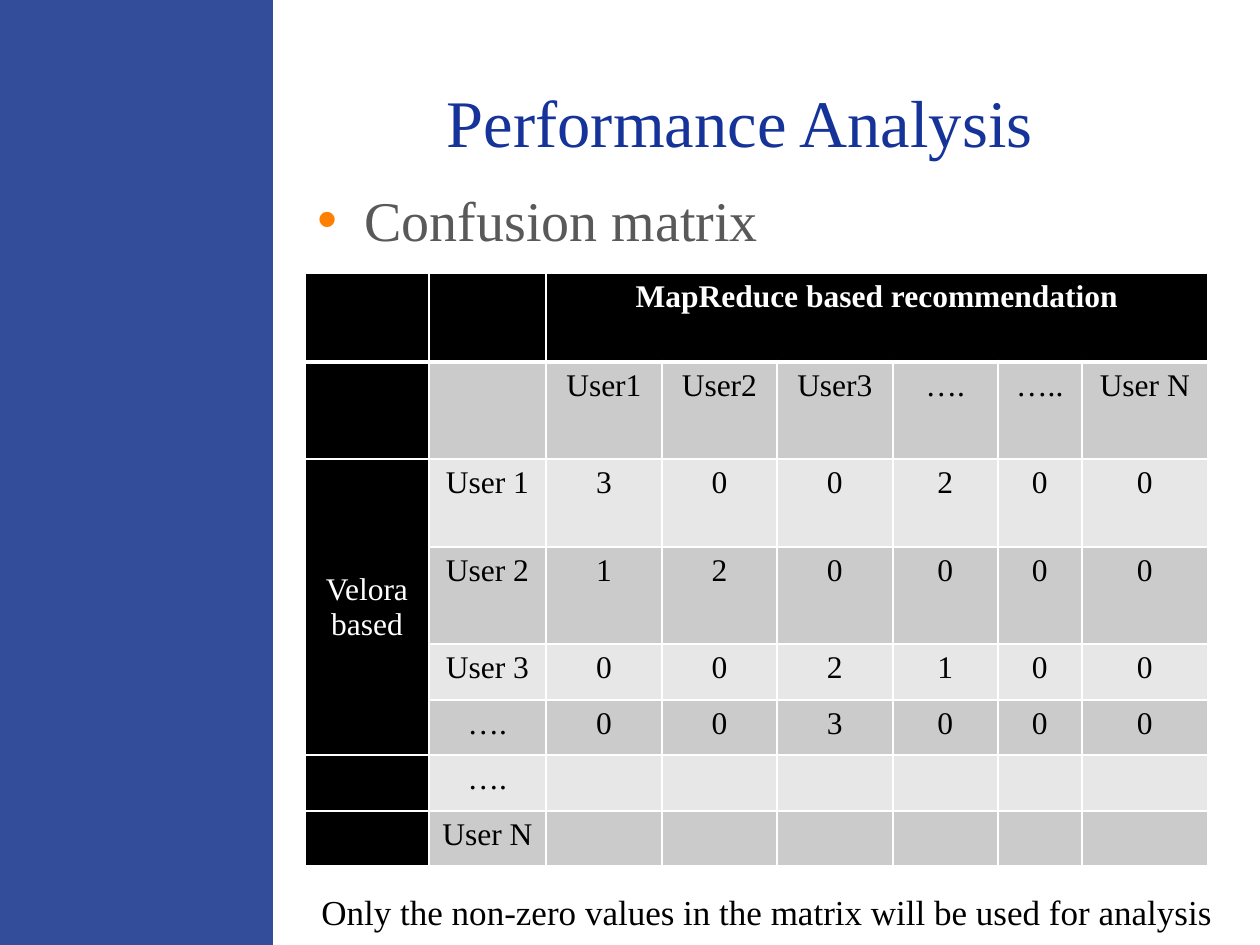
from lxml.etree import SubElement
from pptx import Presentation
from pptx.dml.color import RGBColor
from pptx.enum.shapes import MSO_SHAPE as Shape
from pptx.enum.text import MSO_ANCHOR as Anchor, PP_ALIGN as Align
from pptx.oxml.ns import qn
from pptx.util import Pt

SCALE = 914400 // 126
FONT = "Times New Roman"
BLUE = RGBColor(0x33, 0x4D, 0x9A)
TITLE_BLUE = RGBColor(0x15, 0x33, 0x99)
GRAY = RGBColor(0x59, 0x59, 0x59)
ORANGE = RGBColor(0xFF, 0x80, 0x00)
BLACK = RGBColor(0, 0, 0)
WHITE = RGBColor(0xFF, 0xFF, 0xFF)
DARK_BAND = RGBColor(0xCB, 0xCB, 0xCB)
LIGHT_BAND = RGBColor(0xE7, 0xE7, 0xE7)

COLUMN_WIDTHS = [124, 117, 116, 115, 116, 105, 84, 126]
ROW_HEIGHTS = [89, 97, 88, 97, 56, 55, 56, 55]
MATRIX = [
    ["", "", "MapReduce based recommendation", "", "", "", "", ""],
    ["", "", "User1", "User2", "User3", "….", "…..", "User N"],
    ["Velora based", "User 1", "3", "0", "0", "2", "0", "0"],
    ["", "User 2", "1", "2", "0", "0", "0", "0"],
    ["", "User 3", "0", "0", "2", "1", "0", "0"],
    ["", "….", "0", "0", "3", "0", "0", "0"],
    ["", "….", "", "", "", "", "", ""],
    ["", "User N", "", "", "", "", "", ""],
]


def px(*lengths):
    return [length * SCALE for length in lengths]


def write(frame, text, size, color, align=Align.CENTER, bold=False):
    frame.text = text
    paragraph = frame.paragraphs[0]
    paragraph.alignment = align
    for run in paragraph.runs:
        run.font.name = FONT
        run.font.size = Pt(size)
        run.font.bold = bold
        run.font.color.rgb = color
    return paragraph


def add_sidebar(slide):
    sidebar = slide.shapes.add_shape(Shape.RECTANGLE, *px(0, 0, 273, 945))
    sidebar.shadow.inherit = False
    sidebar.fill.solid()
    sidebar.fill.fore_color.rgb = BLUE
    sidebar.line.fill.background()


def add_title(slide, text):
    title = slide.shapes.title
    title.left, title.top, title.width, title.height = px(315, 42, 850, 157)
    title.text_frame.vertical_anchor = Anchor.MIDDLE
    write(title.text_frame, text, 38, TITLE_BLUE)


def add_text(slide, box, text, size, color, align, anchor):
    frame = slide.shapes.add_textbox(*px(*box)).text_frame
    frame.word_wrap = True
    frame.vertical_anchor = anchor
    return write(frame, text, size, color, align)


def add_bullet(paragraph, color, indent):
    properties = paragraph._p.get_or_add_pPr()
    properties.set("marL", str(indent * SCALE))
    properties.set("indent", str(-indent * SCALE))
    bullet_color = SubElement(properties, qn("a:buClr"))
    SubElement(bullet_color, qn("a:srgbClr"), val=str(color))
    SubElement(properties, qn("a:buFont"), typeface="Arial")
    SubElement(properties, qn("a:buChar"), char="•")


def set_borders(cell, widths):
    properties = cell._tc.get_or_add_tcPr()
    for side, width in widths.items():
        line = SubElement(properties, qn(f"a:ln{side}"), w=str(Pt(width)))
        fill = SubElement(line, qn("a:solidFill"))
        SubElement(fill, qn("a:srgbClr"), val=str(WHITE))


def format_cell(cell, row, column, text):
    header = row == 0 or column == 0
    cell.margin_left = cell.margin_right = 0
    cell.vertical_anchor = Anchor.MIDDLE if column == 0 else Anchor.TOP
    set_borders(cell, {"L": 1, "R": 1, "T": 3 if row == 1 else 1,
                       "B": 3 if row == 0 else 1})
    cell.fill.solid()
    band = DARK_BAND if row % 2 else LIGHT_BAND
    cell.fill.fore_color.rgb = BLACK if header else band
    if text:
        write(cell.text_frame, text, 18, WHITE if header else BLACK,
              bold=row == 0)


def add_matrix(slide):
    box = px(305, 273, sum(COLUMN_WIDTHS), sum(ROW_HEIGHTS))
    table = slide.shapes.add_table(len(MATRIX), len(COLUMN_WIDTHS), *box).table
    for column, width in zip(table.columns, COLUMN_WIDTHS):
        column.width = width * SCALE
    for row, height in zip(table.rows, ROW_HEIGHTS):
        row.height = height * SCALE
    for row, texts in enumerate(MATRIX):
        for column, text in enumerate(texts):
            format_cell(table.cell(row, column), row, column, text)
    table.cell(0, 2).merge(table.cell(0, 7))
    table.cell(2, 0).merge(table.cell(5, 0))


def main():
    deck = Presentation()
    deck.slide_width, deck.slide_height = px(1260, 945)
    slide = deck.slides.add_slide(deck.slide_layouts[5])
    add_sidebar(slide)
    add_title(slide, "Performance Analysis")
    topic = add_text(slide, (305, 179, 850, 567), "Confusion matrix", 32,
                     GRAY, Align.LEFT, Anchor.TOP)
    topic.space_before = Pt(6.4)
    add_bullet(topic, ORANGE, 47)
    add_matrix(slide)
    add_text(slide, (242, 833, 1050, 157),
             "Only the non-zero values in the matrix will be used for analysis",
             20, BLACK, Align.CENTER, Anchor.MIDDLE)
    deck.save("out.pptx")


main()
